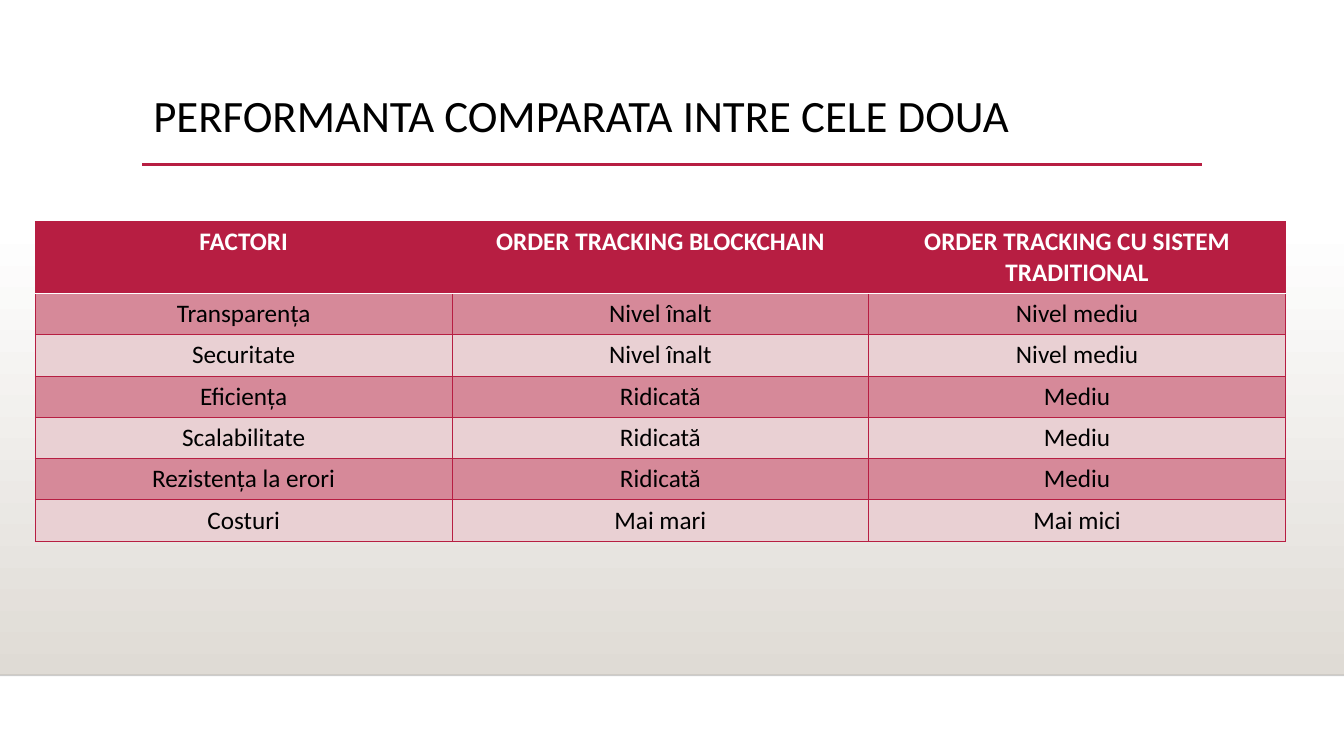
from lxml import etree
from pptx import Presentation
from pptx.dml.color import RGBColor
from pptx.enum.shapes import MSO_CONNECTOR, MSO_SHAPE
from pptx.enum.text import MSO_ANCHOR, PP_ALIGN
from pptx.oxml import parse_xml
from pptx.oxml.ns import nsdecls, qn
from pptx.util import Inches, Pt

LEFT, CENTER = PP_ALIGN.LEFT, PP_ALIGN.CENTER
TOP = MSO_ANCHOR.TOP
STRAIGHT, RECTANGLE = MSO_CONNECTOR.STRAIGHT, MSO_SHAPE.RECTANGLE

# Content
TITLE = "PERFORMANTA COMPARATA INTRE CELE DOUA"
ROWS = [
    ("FACTORI", "ORDER TRACKING BLOCKCHAIN", "ORDER TRACKING CU SISTEM TRADITIONAL"),
    ("Transparența", "Nivel înalt", "Nivel mediu"),
    ("Securitate", "Nivel înalt", "Nivel mediu"),
    ("Eficiența", "Ridicată", "Mediu"),
    ("Scalabilitate", "Ridicată", "Mediu"),
    ("Rezistența la erori", "Ridicată", "Mediu"),
    ("Costuri", "Mai mari", "Mai mici"),
]

# Style
FONT = "Calibri"
CRIMSON, DARK_BAND, LIGHT_BAND = "B71E42", "D68999", "E9D0D3"
WHITE, BLACK, STONE = "FFFFFF", "000000", "DFDBD5"
WIDTH, HEIGHT = 13.33, 7.5
FLOOR_TOP, FLOOR_BOTTOM = 2.21, 6.7
TABLE_LEFT, TABLE_TOP, TABLE_WIDTH = 0.35, 2.2, 12.4
HEADER_HEIGHT, ROW_HEIGHT = 0.71, 0.41
TITLE_FONT = {"name": FONT, "size": Pt(32), "bold": False}
HEADER_FONT = {"name": FONT, "size": Pt(18), "bold": True}
BODY_FONT = {**HEADER_FONT, "bold": False}


def color(value):
    return RGBColor.from_string(value)


def write(frame, text, alignment, font_format, font_color):
    frame.text = text
    paragraph = frame.paragraphs[0]
    paragraph.alignment = alignment
    font = paragraph.runs[0].font
    for name, value in font_format.items():
        setattr(font, name, value)
    font.color.rgb = color(font_color)
    return paragraph


def add_rule(slide, left, right, top, line_color, weight):
    rule = slide.shapes.add_connector(
        STRAIGHT, Inches(left), Inches(top), Inches(right), Inches(top))
    rule.line.color.rgb = color(line_color)
    rule.line.width = Pt(weight)
    etree.SubElement(rule.element.spPr, qn("a:effectLst"))
    return rule


def set_borders(cell, borders):
    properties = cell._tc.get_or_add_tcPr()
    for index, (side, (line_color, weight)) in enumerate(borders.items()):
        properties.insert(index, parse_xml(
            f'<a:{side} {nsdecls("a")} w="{Pt(weight)}"><a:solidFill>'
            f'<a:srgbClr val="{line_color}"/></a:solidFill></a:{side}>'))


def add_background(slide):
    floor = slide.shapes.add_shape(
        RECTANGLE, 0, Inches(FLOOR_TOP), Inches(WIDTH), Inches(FLOOR_BOTTOM - FLOOR_TOP))
    floor.shadow.inherit = False
    floor.line.fill.background()
    floor.fill.gradient()
    floor.fill.gradient_angle = 270
    for stop, stop_color in zip(floor.fill.gradient_stops, (WHITE, STONE)):
        stop.color.rgb = color(stop_color)
    edge = add_rule(slide, 0, WIDTH, FLOOR_BOTTOM, BLACK, 1)
    edge_color = next(edge.element.iter(qn("a:srgbClr")))
    etree.SubElement(edge_color, qn("a:alpha"), val="20000")
    add_rule(slide, 1.41, 11.92, 1.63, CRIMSON, 2.5)


def add_title(slide):
    title = slide.shapes.title
    title.left, title.top = Inches(1.42), Inches(0.88)
    title.width, title.height = Inches(10.98), Inches(1.15)
    title.text_frame.vertical_anchor = TOP
    write(title.text_frame, TITLE, LEFT, TITLE_FONT, BLACK).line_spacing = 0.9


def add_comparison(slide):
    row_count, column_count = len(ROWS), len(ROWS[0])
    table_height = HEADER_HEIGHT + (row_count - 1) * ROW_HEIGHT
    table = slide.shapes.add_table(
        row_count, column_count, Inches(TABLE_LEFT), Inches(TABLE_TOP),
        Inches(TABLE_WIDTH), Inches(table_height)).table
    for column in table.columns:
        column.width = Inches(TABLE_WIDTH / column_count)
    for row_index, texts in enumerate(ROWS):
        header = row_index == 0
        table.rows[row_index].height = Inches(HEADER_HEIGHT if header else ROW_HEIGHT)
        band = CRIMSON if header else DARK_BAND if row_index % 2 else LIGHT_BAND
        borders = dict.fromkeys(("lnL", "lnR", "lnT", "lnB"), (CRIMSON, 0.75))
        if header:
            borders["lnB"] = (WHITE, 1.25)
        elif row_index == 1:
            borders["lnT"] = (WHITE, 1.25)
        for column_index, text in enumerate(texts):
            cell = table.cell(row_index, column_index)
            cell.fill.solid()
            cell.fill.fore_color.rgb = color(band)
            set_borders(cell, borders)
            write(cell.text_frame, text, CENTER,
                  HEADER_FONT if header else BODY_FONT, WHITE if header else BLACK)


def main():
    presentation = Presentation()
    presentation.slide_width, presentation.slide_height = Inches(WIDTH), Inches(HEIGHT)
    slide = presentation.slides.add_slide(presentation.slide_layouts[5])
    add_background(slide)
    add_title(slide)
    add_comparison(slide)
    presentation.save("out.pptx")


if __name__ == "__main__":
    main()
